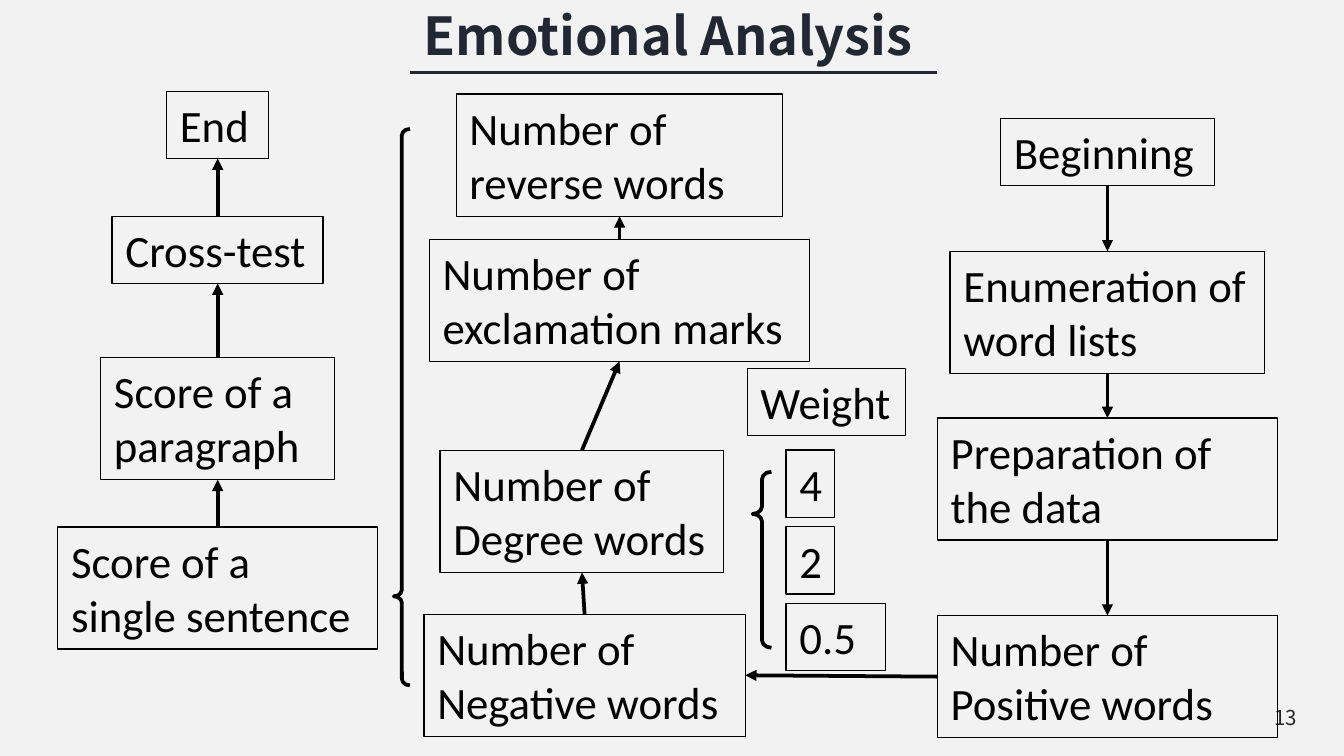
import pptx
import pptx.util
import pptx.dml.color
import pptx.enum.shapes
import pptx.enum.text
import pptx.oxml

Inches, Pt = pptx.util.Inches, pptx.util.Pt
Shape = pptx.enum.shapes.MSO_SHAPE
Anchor = pptx.enum.text.MSO_ANCHOR
Align = pptx.enum.text.PP_ALIGN

COLORS = {"page": "F2F2F2", "title": "212834", "ink": "000000", "page_no": "262626"}
HEAD, BODY = "Noto Sans CJK SC", "Calibri"
LOW, TALL = 0.5, 0.91  # heights of one-line and two-line boxes
TOP, LEFT, BOTTOM, RIGHT = range(4)


def color(name):
    return pptx.dml.color.RGBColor.from_string(COLORS[name])


def style(par, size, face, ink, align=Align.LEFT, bold=False):
    par.alignment = align
    font = par.font
    font.size, font.name, font.bold = Pt(size), face, bold
    font.color.rgb = color(ink)


def outline(shape, width):
    shape.shadow.inherit = False
    shape.fill.background()
    shape.line.color.rgb = color("ink")
    shape.line.width = Pt(width)


def card(slide, text, x, y, w, h):
    shape = slide.shapes.add_shape(Shape.RECTANGLE, *map(Inches, (x, y, w, h)))
    outline(shape, 0.75)
    frame = shape.text_frame
    frame.word_wrap = True
    frame.vertical_anchor = Anchor.TOP
    frame.text = text
    style(frame.paragraphs[0], 24, BODY, "ink")
    return shape


def brace(slide, x, y, w, h, point):
    shape = slide.shapes.add_shape(Shape.LEFT_BRACE, *map(Inches, (x, y, w, h)))
    shape.adjustments[0], shape.adjustments[1] = 0.4, point
    outline(shape, 2)


def line(slide, ink, width, ends=(0, 0, 0, 0)):
    kind = pptx.enum.shapes.MSO_CONNECTOR.STRAIGHT
    rule = slide.shapes.add_connector(kind, *map(Inches, ends))
    rule.line.color.rgb = color(ink)
    rule.line.width = Pt(width)
    props = rule._element.spPr
    props.append(pptx.oxml.parse_xml(
        '<a:effectLst xmlns:a="http://schemas.openxmlformats.org/drawingml/2006/main"/>'))
    return rule


def arrow(slide, start, out, end, into):
    rule = line(slide, "ink", 2)
    rule.begin_connect(start, out)
    rule.end_connect(end, into)
    rule.line._get_or_add_ln().append(pptx.oxml.parse_xml(
        '<a:tailEnd xmlns:a="http://schemas.openxmlformats.org/drawingml/2006/main"'
        ' type="triangle"/>'))


def header(slide, x, y, w, h):
    title = slide.shapes.title
    title.left, title.top, title.width, title.height = map(Inches, (x, y, w, h))
    frame = title.text_frame
    frame.margin_top = frame.margin_bottom = 0
    frame.word_wrap = False
    frame.vertical_anchor = Anchor.MIDDLE
    frame.text = "Emotional Analysis"
    style(frame.paragraphs[0], 28, HEAD, "title", Align.CENTER, True)
    line(slide, "title", 1.5, (x + 0.05, y + h, x + w + 0.03, y + h))


def chain(slide, mid, top, steps, upward):
    """Stack cards about a centre line and join them with arrows.

    Each step is text, offset from mid, offset from top, width, height.
    """
    cards = [card(slide, text, mid + dx - w / 2, top + dy, w, h)
             for text, dx, dy, w, h in steps]
    for upper, lower in zip(cards, cards[1:]):
        if upward:
            arrow(slide, lower, TOP, upper, BOTTOM)
        else:
            arrow(slide, upper, BOTTOM, lower, TOP)
    return cards


def weights(slide, x, y):
    card(slide, "Weight", x, y, 1.18, LOW)
    brace(slide, x + 0.04, y + 0.77, 0.14, 1.31, 0.24)
    for i, (text, w) in enumerate([("4", 0.36), ("2", 0.36), ("0.5", 0.74)]):
        card(slide, text, x + 0.29, y + 0.61 + i * 0.57, w, LOW)


def number(slide, x, y, w, h):
    frame = slide.shapes.add_textbox(*map(Inches, (x, y, w, h))).text_frame
    frame.word_wrap = True
    frame.vertical_anchor = Anchor.MIDDLE
    frame.text = "13"
    style(frame.paragraphs[0], 11, HEAD, "page_no", Align.RIGHT)


def main():
    deck = pptx.Presentation()
    deck.slide_width = Inches(10)
    deck.slide_height = deck.slide_width * 9 // 16
    slide = deck.slides.add_slide(deck.slide_layouts[5])
    slide.background.fill.solid()
    slide.background.fill.fore_color.rgb = color("page")

    header(slide, 3, -0.03, 3.94, 0.57)
    number(slide, 7.5, 5.19, 2.25, 0.3)

    # Right: preparation, read downward
    prep = chain(slide, 8.24, 0.88, [
        ("Beginning", 0, 0, 1.59, LOW),
        ("Enumeration of word lists", 0, 0.99, 2.34, TALL),
        ("Preparation of the data", 0, 2.23, 2.53, TALL),
        ("Number of Positive words", 0, 3.7, 2.53, TALL),
    ], upward=False)

    # Middle: word counts, read upward
    counts = chain(slide, 4.33, 0.7, [
        ("Number of reverse words", 0.28, 0, 2.43, TALL),
        ("Number of exclamation marks", 0.28, 1.08, 2.83, TALL),
        ("Number of Degree words", 0, 2.65, 2.11, TALL),
        ("Number of Negative words", 0.02, 3.87, 2.39, TALL),
    ], upward=True)
    arrow(slide, prep[-1], LEFT, counts[-1], RIGHT)
    weights(slide, 5.56, 2.74)

    # Left: scores, read upward
    brace(slide, 2.93, 0.96, 0.12, 4.14, 0.84)
    chain(slide, 1.62, 0.68, [
        ("End", 0, 0, 0.76, LOW),
        ("Cross-test", 0, 0.93, 1.57, LOW),
        ("Score of a paragraph", 0, 1.98, 1.74, TALL),
        ("Score of a single sentence", 0, 3.24, 2.38, TALL),
    ], upward=True)

    deck.save("out.pptx")


if __name__ == "__main__":
    main()
